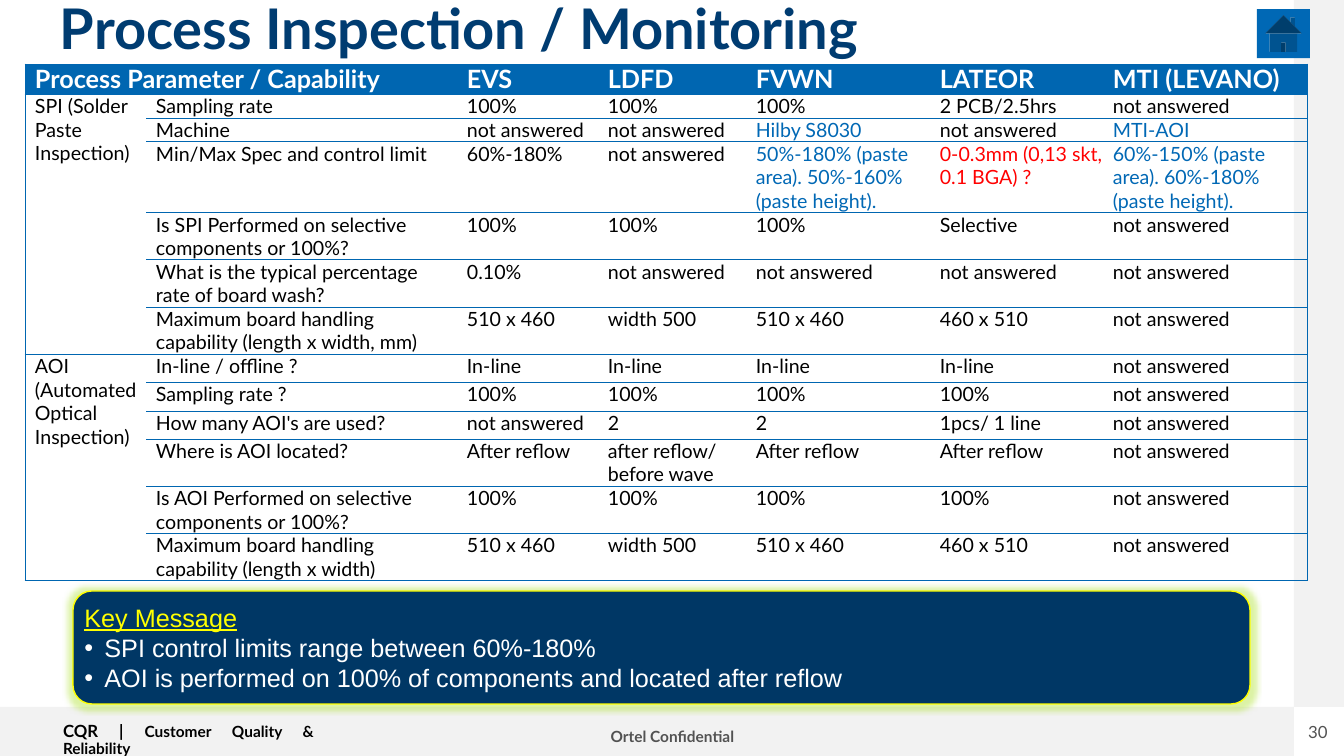
import pptx
import pptx.util
import pptx.dml.color
import pptx.enum.shapes
import pptx.enum.text
import pptx.oxml
import pptx.oxml.ns

SHAPES = pptx.enum.shapes.MSO_SHAPE
ALIGN = pptx.enum.text.PP_ALIGN
ANCHOR = pptx.enum.text.MSO_ANCHOR
NS = pptx.oxml.ns.nsdecls("a")

COLORS = {
    "title": "003C71", "header": "0066B1", "accent": "0068B5", "alert": "FF0000",
    "navy": "003765", "yellow": "FFFF00", "glow": "A8E020", "band": "F2F2F2",
    "muted": "525252", "black": "000000", "white": "FFFFFF",
}
NO_STYLE = "{2D5ABB26-0587-4C30-8999-92F81FD0307C}"
COLUMN_WIDTHS = [121, 311, 141, 148, 184, 173, 205]
ROW_HEIGHTS = [30, 24, 23, 71, 47, 47, 47, 28, 29, 28, 47, 47, 47]
HEADINGS = ["EVS", "LDFD", "FVWN", "LATEOR", "MTI (LEVANO)"]
NA = "not answered"

# Group label, then its rows: parameter and the five answers
GROUPS = [
    ("SPI (Solder Paste Inspection)", [
        ["Sampling rate", "100%", "100%", "100%", "2 PCB/2.5hrs", NA],
        ["Machine", NA, NA, "Hilby S8030", NA, "MTI-AOI"],
        ["Min/Max Spec and control limit", "60%-180%", NA,
         "50%-180% (paste area). 50%-160% (paste height).",
         "0-0.3mm (0,13 skt, 0.1 BGA) ?",
         "60%-150% (paste area). 60%-180% (paste height)."],
        ["Is SPI Performed on selective components or 100%?",
         "100%", "100%", "100%", "Selective", NA],
        ["What is the typical percentage rate of board wash?", "0.10%", NA, NA, NA, NA],
        ["Maximum board handling capability (length x width, mm)",
         "510 x 460", "width 500", "510 x 460", "460 x 510", NA],
    ]),
    ("AOI (Automated Optical Inspection)", [
        ["In-line / offline ?", "In-line", "In-line", "In-line", "In-line", NA],
        ["Sampling rate ?", "100%", "100%", "100%", "100%", NA],
        ["How many AOI's are used?", NA, "2", "2", "1pcs/ 1 line", NA],
        ["Where is AOI located?", "After reflow", "after reflow/ before wave",
         "After reflow", "After reflow", NA],
        ["Is AOI Performed on selective components or 100%?",
         "100%", "100%", "100%", "100%", NA],
        ["Maximum board handling capability (length x width)",
         "510 x 460", "width 500", "510 x 460", "460 x 510", NA],
    ]),
]
# Row and column of the answers set in colour
ANSWER_COLORS = {(2, 4): "accent", (2, 6): "accent", (3, 4): "accent",
                 (3, 5): "alert", (3, 6): "accent"}


def px(length):
    return pptx.util.Emu(round(length * 914400 / 100.8))


def rgb(color):
    return pptx.dml.color.RGBColor.from_string(COLORS[color])


def set_all(target, **values):
    for name, value in values.items():
        setattr(target, name, value)


def write(paragraph, text, size, color, font="Lato", **style):
    run = paragraph.add_run()
    run.text = text
    set_all(run.font, name=font, size=pptx.util.Pt(size), **style)
    run.font.color.rgb = rgb(color)


def add_panel(slide, kind, box, fill, line=None):
    panel = slide.shapes.add_shape(kind, *map(px, box))
    panel.shadow.inherit = False
    panel.fill.solid()
    panel.fill.fore_color.rgb = rgb(fill)
    if line:
        panel.line.color.rgb = rgb(line)
        panel.line.width = pptx.util.Pt(1)
    else:
        panel.line.fill.background()
    return panel


def add_label(slide, box, runs, insets=(0, 0), wrap=True, **paragraph_format):
    frame = slide.shapes.add_textbox(*map(px, box)).text_frame
    side, top = map(px, insets)
    set_all(frame, word_wrap=wrap, margin_left=side, margin_right=side,
            margin_top=top, margin_bottom=top)
    set_all(frame.paragraphs[0], **paragraph_format)
    for text, size, color, bold in runs:
        write(frame.paragraphs[0], text, size, color, bold=bold)


def add_footer(slide, box):
    left, top, width, height = box
    side_width = 50
    add_panel(slide, SHAPES.RECTANGLE, (left, top, width - side_width, height), "band")
    add_panel(slide, SHAPES.RECTANGLE, (left + width - side_width, 0, side_width, top), "band")
    add_label(slide, (left + 53, top + 11, 271, 28),
              [("CQR | ", 12, "black", True),
               ("Customer Quality & Reliability", 11, "black", True)],
              insets=(10, 5), alignment=ALIGN.JUSTIFY, line_spacing=0.9)
    add_label(slide, (left + 599, top + 17, 147, 27),
              [("Ortel Confidential", 11, "muted", True)],
              insets=(10, 5), wrap=False, alignment=ALIGN.CENTER, line_spacing=0.9)
    add_label(slide, (left + 1299, top + 15, 38, 20),
              [("30", 12, "muted", False)], alignment=ALIGN.CENTER)


def add_header(slide, box):
    left, top, width, height = box
    add_label(slide, box, [("Process Inspection / Monitoring", 40, "title", True)],
              line_spacing=0.9)
    add_panel(slide, SHAPES.ACTION_BUTTON_HOME, (left + 1197, top + 8, 53, 49), "accent")


def fill_cell(cell, text, size, color, borders, bold=False, fill=None):
    set_all(cell, margin_left=px(10), margin_right=0, margin_top=0, margin_bottom=0,
            vertical_anchor=ANCHOR.TOP)
    if text:
        write(cell.text_frame.paragraphs[0], text, size, color, bold=bold)
    properties = cell._tc.get_or_add_tcPr()
    for side in "LRTB":
        line = (f'<a:solidFill><a:srgbClr val="{COLORS["header"]}"/></a:solidFill>'
                if side in borders else "<a:noFill/>")
        properties.append(pptx.oxml.parse_xml(f'<a:ln{side} {NS} w="9525">{line}</a:ln{side}>'))
    if fill:
        cell.fill.solid()
        cell.fill.fore_color.rgb = rgb(fill)
    else:
        cell.fill.background()


def add_inspection_table(slide, box):
    frame = slide.shapes.add_table(len(ROW_HEIGHTS), len(COLUMN_WIDTHS), *map(px, box))
    table = frame.table
    set_all(table, first_row=False, horz_banding=False)
    table._tbl.tblPr.find(pptx.oxml.ns.qn("a:tableStyleId")).text = NO_STYLE
    for column, width in zip(table.columns, COLUMN_WIDTHS):
        column.width = px(width)
    for row, height in zip(table.rows, ROW_HEIGHTS):
        row.height = px(height)

    # Heading row
    last = len(COLUMN_WIDTHS) - 1
    edges = {0: "L", last: "R"}
    for c, heading in enumerate(["Process Parameter / Capability", ""] + HEADINGS):
        fill_cell(table.cell(0, c), heading, 18, "white", "TB" + edges.get(c, ""),
                  bold=True, fill="header")
    table.cell(0, 0).merge(table.cell(0, 1))

    # Groups with a label spanning their rows
    first = 1
    for label, rows in GROUPS:
        for r, answers in enumerate(rows, first):
            for c, text in enumerate([label if r == first else ""] + answers):
                fill_cell(table.cell(r, c), text, 14, ANSWER_COLORS.get((r, c), "black"),
                          "TB" + edges.get(c, ""))
        table.cell(first, 0).merge(table.cell(first + len(rows) - 1, 0))
        first += len(rows)


def add_key_message(slide, box):
    panel = add_panel(slide, SHAPES.ROUNDED_RECTANGLE, box, "navy", line="yellow")
    effects = panel._element.spPr.find(pptx.oxml.ns.qn("a:effectLst"))
    effects.append(pptx.oxml.parse_xml(
        f'<a:glow {NS} rad="101600"><a:srgbClr val="{COLORS["glow"]}">'
        '<a:alpha val="40000"/></a:srgbClr></a:glow>'))
    frame = panel.text_frame
    set_all(frame, word_wrap=True, vertical_anchor=ANCHOR.MIDDLE, margin_left=px(6),
            margin_right=px(6), margin_top=px(6), margin_bottom=px(6))
    title = frame.paragraphs[0]
    title.alignment = ALIGN.LEFT
    write(title, "Key Message", 18, "yellow", font="Arial", underline=True)
    for message in ("SPI control limits range between 60%-180%",
                    "AOI is performed on 100% of components and located after reflow"):
        bullet = frame.add_paragraph()
        bullet.alignment = ALIGN.LEFT
        properties = bullet._p.get_or_add_pPr()
        properties.set("marL", str(px(20)))
        properties.set("indent", str(-px(20)))
        properties.append(pptx.oxml.parse_xml(f'<a:buFont {NS} typeface="Arial"/>'))
        properties.append(pptx.oxml.parse_xml(f'<a:buChar {NS} char="•"/>'))
        write(bullet, message, 18, "white", font="Arial")


def main():
    deck = pptx.Presentation()
    set_all(deck, slide_width=px(1344), slide_height=px(756))
    slide = deck.slides.add_slide(deck.slide_layouts[6])
    add_footer(slide, (0, 707, 1344, 49))
    add_header(slide, (60, 1, 1210, 68))
    add_inspection_table(slide, (25, 64, sum(COLUMN_WIDTHS), sum(ROW_HEIGHTS)))
    add_key_message(slide, (73, 591, 1177, 113))
    deck.save("out.pptx")


if __name__ == "__main__":
    main()
